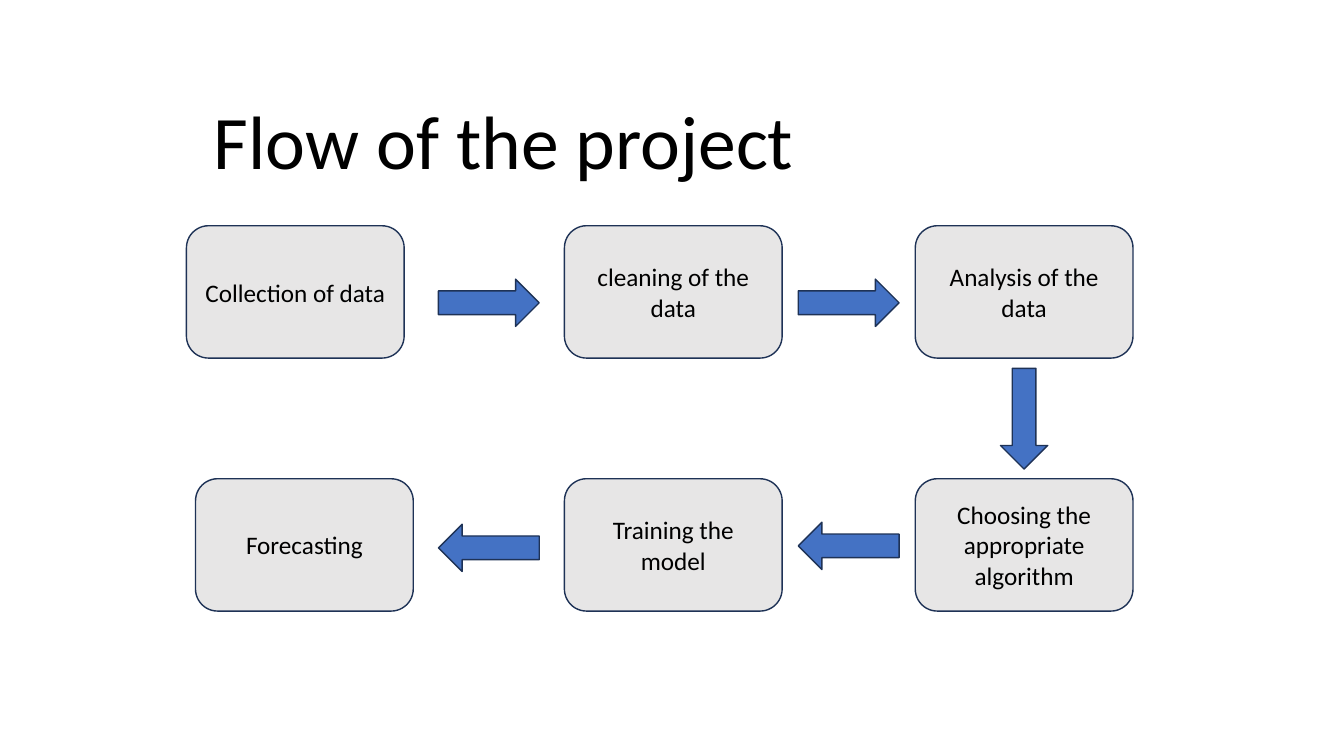
from dataclasses import dataclass
from pptx import Presentation
from pptx.dml.color import RGBColor
from pptx.enum.shapes import MSO_SHAPE
from pptx.enum.text import MSO_ANCHOR, PP_ALIGN
from pptx.util import Pt

ROUND = MSO_SHAPE.ROUNDED_RECTANGLE
ARROW = MSO_SHAPE.RIGHT_ARROW
LEFT, CENTER = PP_ALIGN.LEFT, PP_ALIGN.CENTER
TOP, MIDDLE = MSO_ANCHOR.TOP, MSO_ANCHOR.MIDDLE


@dataclass
class Theme:
    font: str = "Calibri"
    ink: str = "000000"
    box: str = "E7E6E6"
    arrow: str = "4472C4"
    edge: str = "1E3256"
    title: int = 54
    body: int = 18


theme = Theme()


def write(shape, text, size=theme.body, align=CENTER, anchor=MIDDLE, inset=7.2):
    frame = shape.text_frame
    frame.word_wrap = True
    frame.vertical_anchor = anchor
    frame.margin_left = Pt(inset)
    para = frame.paragraphs[0]
    para.alignment = align
    run = para.add_run()
    run.text = text
    run.font.name = theme.font
    run.font.size = Pt(size)
    run.font.color.rgb = RGBColor.from_string(theme.ink)


def draw(kind, left, top, width, height, fill):
    shape = slide.shapes.add_shape(kind, Pt(left), Pt(top), Pt(width), Pt(height))
    shape.shadow.inherit = False
    shape.fill.solid()
    shape.fill.fore_color.rgb = RGBColor.from_string(fill)
    shape.line.color.rgb = RGBColor.from_string(theme.edge)
    shape.line.width = Pt(1)
    return shape


deck = Presentation()
deck.slide_width, deck.slide_height = Pt(960), Pt(540)
slide = deck.slides.add_slide(deck.slide_layouts[6])

# Title
title = slide.shapes.add_textbox(Pt(133.2), Pt(63.4), Pt(676), Pt(72.7))
write(title, "Flow of the project", size=theme.title, align=LEFT, anchor=TOP, inset=19.4)

# Steps, one row at a time: top, then left edge and text
rows = [
    (161.3, [(133.2, "Collection of data"),
             (403.2, "cleaning of the data"),
             (653.8, "Analysis of the data")]),
    (342, [(653.8, "Choosing the appropriate algorithm"),
           (403.2, "Training the model"),
           (139.7, "Forecasting")]),
]
for top, steps in rows:
    for left, text in steps:
        write(draw(ROUND, left, top, 155.5, 94.5, theme.box), text)

# Arrows in flow order: left, top, turn
arrows = [
    (313.2, 199.4, 0),
    (570.2, 199.4, 0),
    (695.5, 282.2, 90),
    (570.2, 373, 180),
    (313.2, 374.4, 180),
]
for left, top, turn in arrows:
    draw(ARROW, left, top, 72, 33.8, theme.arrow).rotation = turn

deck.save("out.pptx")
